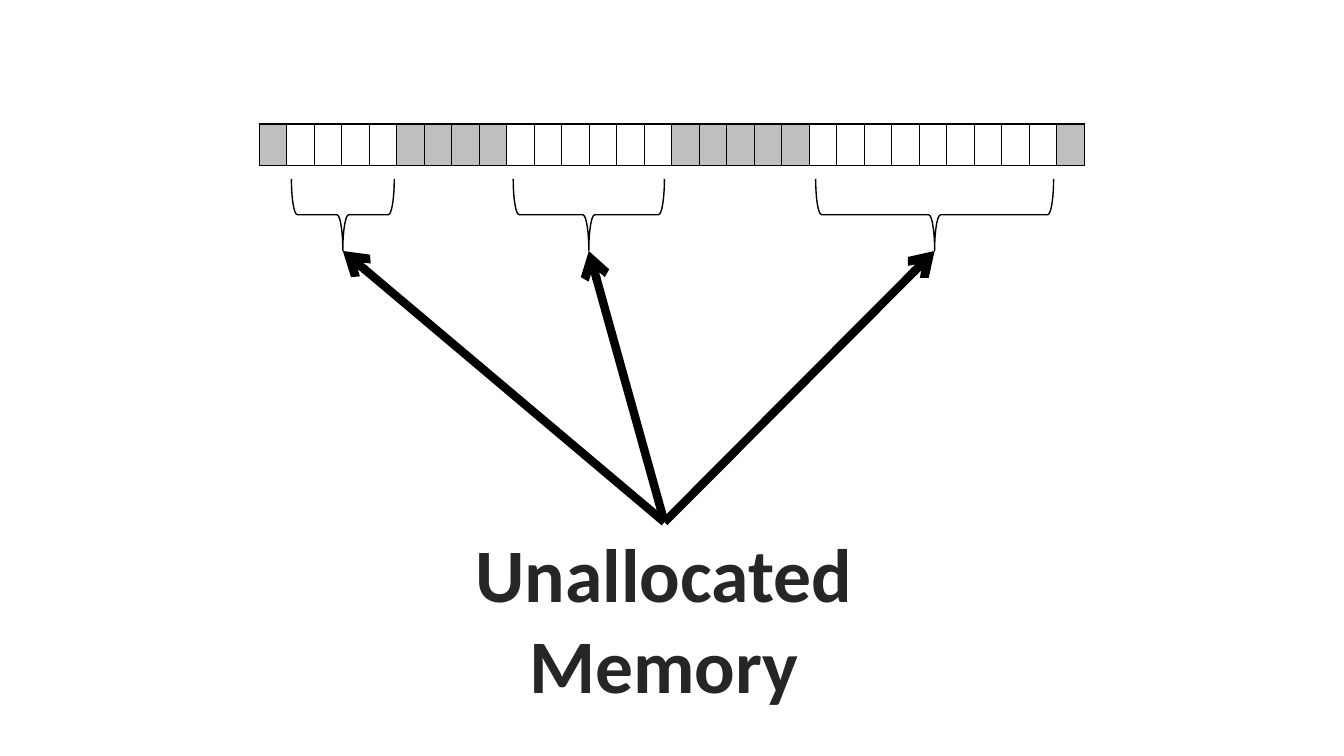
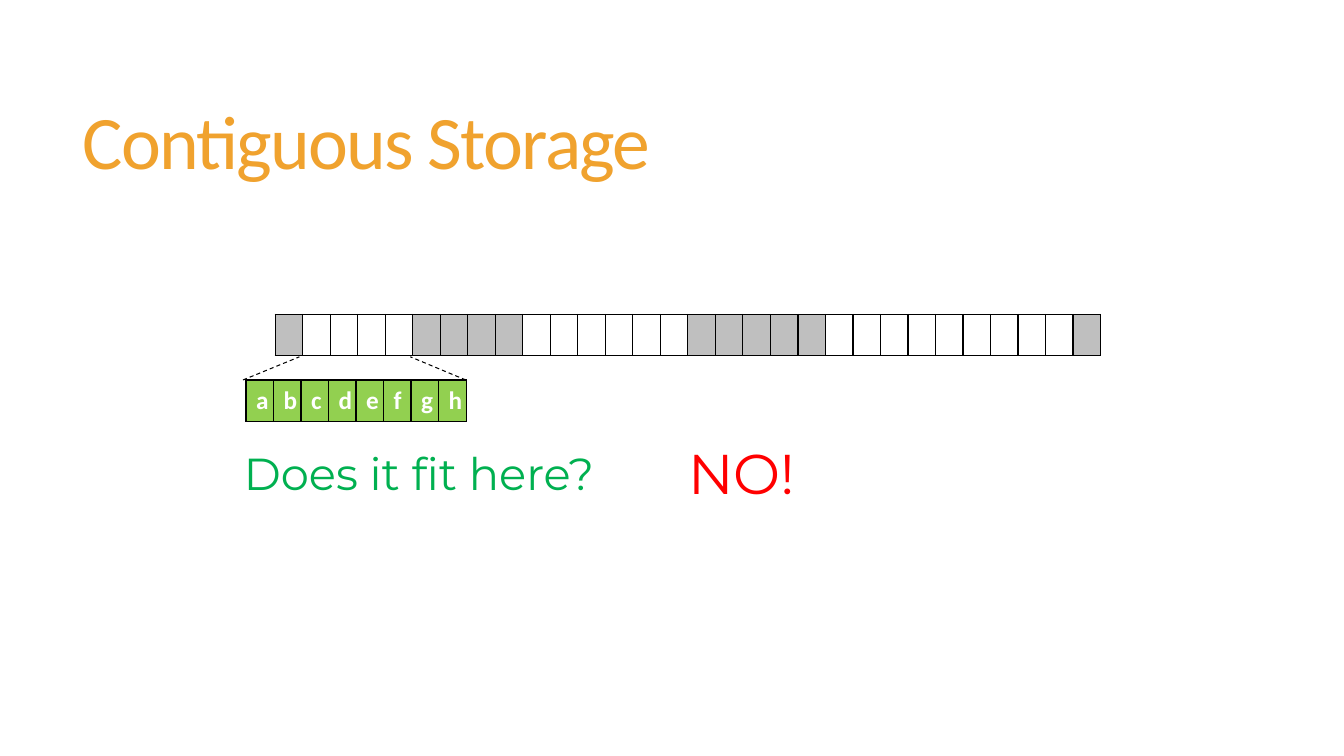
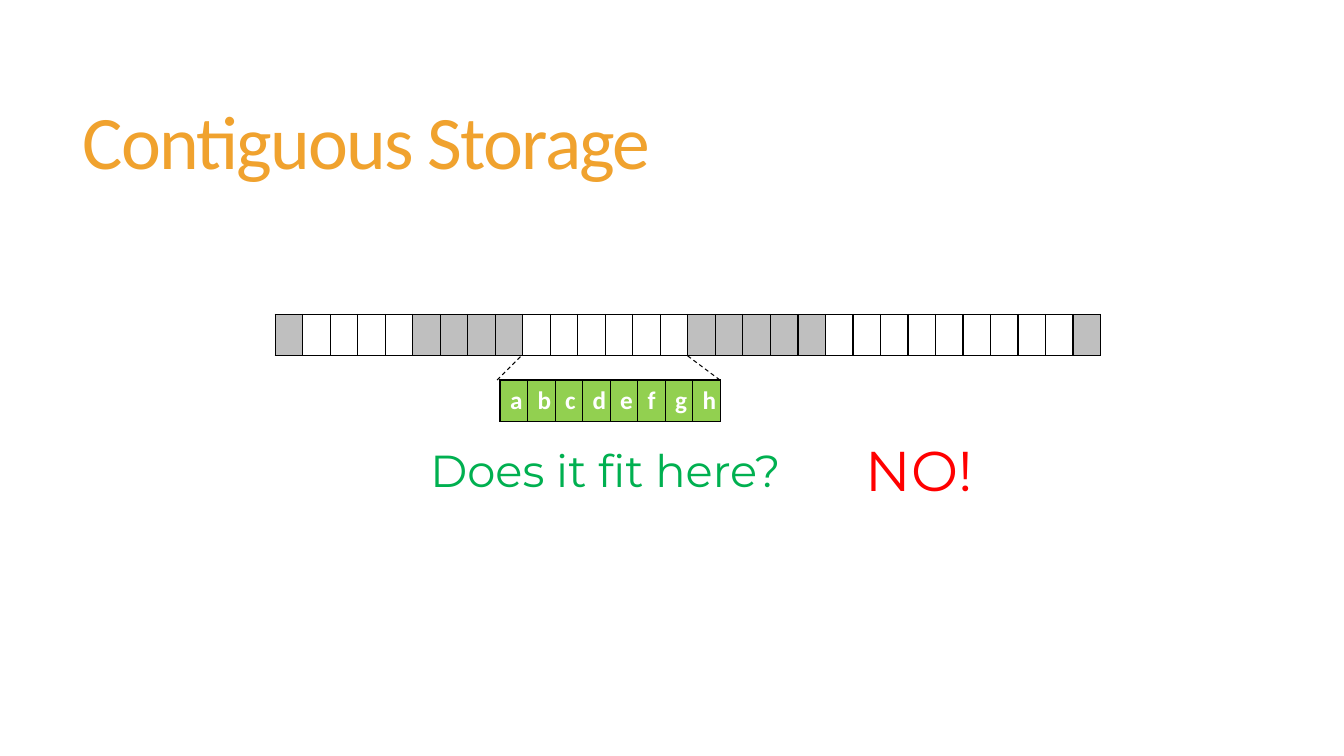
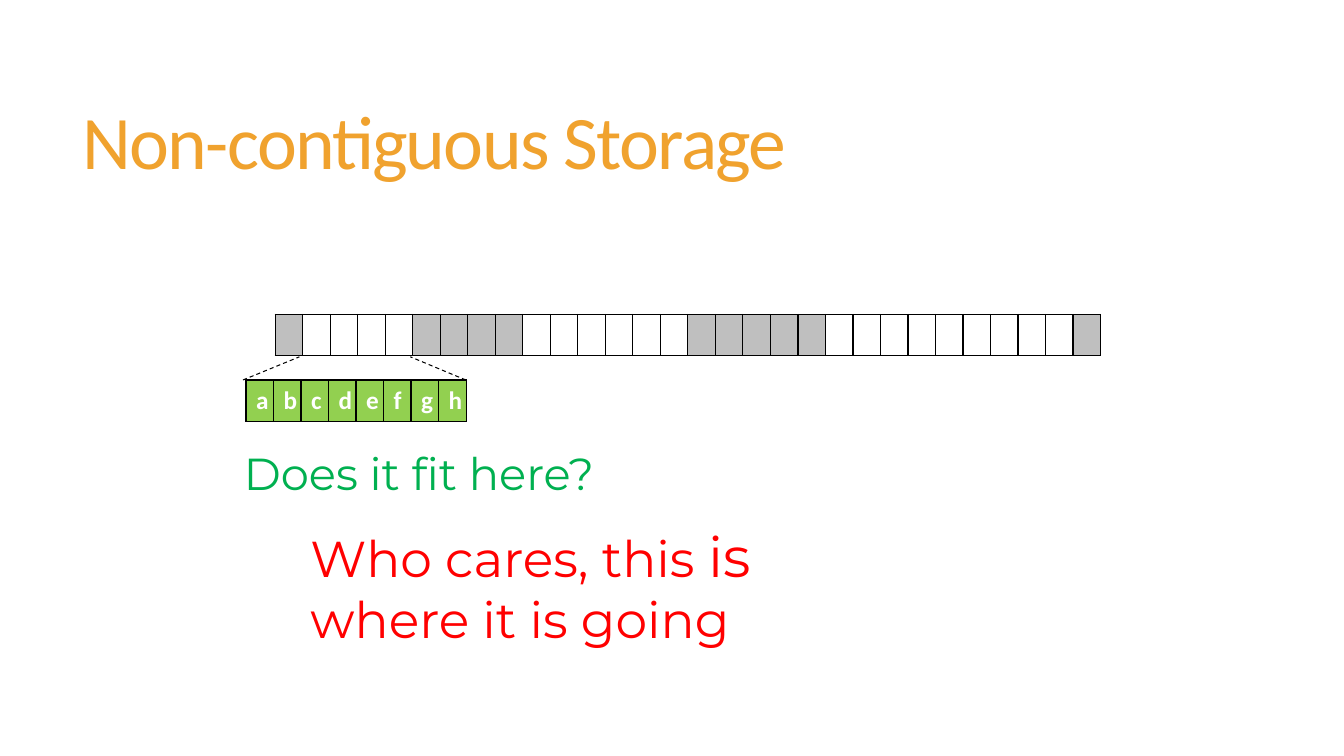
"""Build four slides on contiguous and non-contiguous memory storage."""
import dataclasses
import typing

import lxml.etree
import pptx
import pptx.dml.color
import pptx.enum.dml
import pptx.enum.shapes
import pptx.enum.text
import pptx.oxml.ns
import pptx.shapes.autoshape
import pptx.shapes.connector
import pptx.slide
import pptx.table
import pptx.util

Inches = pptx.util.Inches
Point = tuple[float, float]

BLACK, WHITE, CHARCOAL, ORANGE = "000000", "FFFFFF", "262626", "F0A22E"
USED, DATA, ASKING, ANSWERING = "BFBFBF", "92D050", "00B050", "FF0000"
HEADING_FONT, BODY_FONT = "Calibri", "Montserrat"

MEMORY_MAP = "#....####......#####.........#"
LETTERS = "abcdefgh"
CELL_WIDTH = Inches(8.19) // len(MEMORY_MAP)
CELL_HEIGHT = 0.41
MEMORY_AT = (2.73, 3.12)
DATA_TOP = 3.77
DATA_WIDTH = 2.18
BRACE_DEPTH = 0.71
BRACE_MIDDLE = 2.13
ARROW_TIP = 2.49
ARROW_ORIGIN = (6.59, 5.18)


class Phrase(typing.NamedTuple):
    """A stretch of text in one size."""
    text: str
    size: float


class Gap(typing.NamedTuple):
    """A free stretch of memory, marked with a brace."""
    center: float
    width: float


@dataclasses.dataclass(frozen=True)
class Attempt:
    """One try at placing the data into a gap of the memory."""
    title: str
    data_left: float
    gap_edges: Point
    gap_bottom: float
    question_at: Point
    answer_at: Point
    answer_size: Point
    answer: tuple[Phrase, ...]


GAPS = (Gap(3.4, 1.02), Gap(5.84, 1.5), Gap(9.27, 2.36))
NO = (Phrase("NO!", 40),)
WHO_CARES = (Phrase("Who cares, this ", 36), Phrase("is", 40), Phrase(" where it is going", 36))
ATTEMPTS = (
    Attempt("Contiguous Storage", 2.44, (2.97, 4.07), 3.54,
            (2.32, 4.37), (6.73, 4.3), (1.89, 0.77), NO),
    Attempt("Contiguous Storage", 4.96, (5.17, 6.82), 3.53,
            (4.17, 4.34), (8.49, 4.27), (1.89, 0.77), NO),
    Attempt("Non-contiguous Storage", 2.44, (2.97, 4.07), 3.54,
            (2.32, 4.37), (2.98, 5.12), (5.89, 1.38), WHO_CARES),
)


def rgb(color: str) -> pptx.dml.color.RGBColor:
    """Turn a hex string into a colour."""
    return pptx.dml.color.RGBColor.from_string(color)


def write(paragraph: typing.Any, text: str, *, size: float, color: str,
          font: str = BODY_FONT, bold: bool = False, tracking: float = 0) -> None:
    """Append formatted text to a paragraph."""
    run = paragraph.add_run()
    run.text = text
    run.font.size = pptx.util.Pt(size)
    run.font.name = font
    run.font.bold = bold
    run.font.color.rgb = rgb(color)
    if tracking:
        run.font._element.set("spc", str(round(tracking * 100)))


def add_text_area(slide: pptx.slide.Slide, at: Point, size: Point, grow: bool = True) -> typing.Any:
    """Add a wrapping text box and return its text frame."""
    frame = slide.shapes.add_textbox(*map(Inches, at + size)).text_frame
    frame.word_wrap = True
    if grow:
        frame.auto_size = pptx.enum.text.MSO_AUTO_SIZE.SHAPE_TO_FIT_TEXT
    return frame


def add_title(slide: pptx.slide.Slide, title: str) -> None:
    """Add the title shared by the storage slides."""
    frame = add_text_area(slide, (0.72, 0.55), (11.78, 1.81), grow=False)
    frame.vertical_anchor = pptx.enum.text.MSO_ANCHOR.MIDDLE
    frame.paragraphs[0].line_spacing = 0.85
    write(frame.paragraphs[0], title, size=54, color=ORANGE, font=HEADING_FONT, tracking=-1.2)


def add_borders(cell: typing.Any) -> None:
    """Draw a thin black line on each side of a cell."""
    qn = pptx.oxml.ns.qn
    properties = cell._tc.get_or_add_tcPr()
    for side in ("a:lnL", "a:lnR", "a:lnT", "a:lnB"):
        border = lxml.etree.SubElement(properties, qn(side), w=str(pptx.util.Pt(1)))
        paint = lxml.etree.SubElement(border, qn("a:solidFill"))
        lxml.etree.SubElement(paint, qn("a:srgbClr"), val=BLACK)


def add_cells(slide: pptx.slide.Slide, at: Point, fills: typing.Sequence[str | None]) -> pptx.table.Table:
    """Add a row of equal bordered cells, one for each fill."""
    width = CELL_WIDTH * len(fills)
    table = slide.shapes.add_table(
        1, len(fills), *map(Inches, at), width, Inches(CELL_HEIGHT)).table
    table.first_row = table.horz_banding = False
    for index, fill in enumerate(fills):
        table.columns[index].width = CELL_WIDTH
        cell = table.cell(0, index)
        add_borders(cell)
        if fill:
            cell.fill.solid()
            cell.fill.fore_color.rgb = rgb(fill)
        else:
            cell.fill.background()
    return table


def add_memory(slide: pptx.slide.Slide, at: Point) -> None:
    """Add the memory with its used and free cells."""
    add_cells(slide, at, [USED if mark == "#" else None for mark in MEMORY_MAP])


def add_data(slide: pptx.slide.Slide, left: float) -> None:
    """Add the lettered data to be stored."""
    table = add_cells(slide, (left, DATA_TOP), [DATA] * len(LETTERS))
    for index, letter in enumerate(LETTERS):
        paragraph = table.cell(0, index).text_frame.paragraphs[0]
        paragraph.alignment = pptx.enum.text.PP_ALIGN.CENTER
        write(paragraph, letter, size=18, color=WHITE, font=HEADING_FONT, bold=True)


def add_line(slide: pptx.slide.Slide, start: Point, end: Point, *, width: float,
             dashed: bool = False, arrow: bool = False) -> None:
    """Add a straight black line, dashed or with an arrowhead at its end."""
    connector = slide.shapes.add_connector(
        pptx.enum.shapes.MSO_CONNECTOR.STRAIGHT, *map(Inches, start + end))
    connector.line.width = pptx.util.Pt(width)
    connector.line.color.rgb = rgb(BLACK)
    if dashed:
        connector.line.dash_style = pptx.enum.dml.MSO_LINE.DASH
    qn = pptx.oxml.ns.qn
    if arrow:
        lxml.etree.SubElement(connector.line._get_or_add_ln(), qn("a:tailEnd"), type="arrow")
    lxml.etree.SubElement(connector._element.spPr, qn("a:effectLst"))


def add_brace(slide: pptx.slide.Slide, gap: Gap) -> None:
    """Add a brace below a gap, its tip pointing down."""
    brace = slide.shapes.add_shape(
        pptx.enum.shapes.MSO_SHAPE.LEFT_BRACE,
        Inches(gap.center - BRACE_DEPTH / 2), Inches(BRACE_MIDDLE - gap.width / 2),
        Inches(BRACE_DEPTH), Inches(gap.width))
    brace.rotation = 270
    brace.shadow.inherit = False
    brace.fill.background()
    brace.line.color.rgb = rgb(BLACK)
    brace.line.width = pptx.util.Pt(1)


def draw_unallocated(slide: pptx.slide.Slide) -> None:
    """Draw the memory with arrows to its free gaps."""
    add_memory(slide, (2.57, 1.23))
    for gap in GAPS:
        add_brace(slide, gap)
    caption = add_text_area(slide, (3.34, 5.18), (6.49, 1.01)).paragraphs[0]
    caption.alignment = pptx.enum.text.PP_ALIGN.CENTER
    write(caption, "Unallocated Memory", size=54, color=CHARCOAL, font=HEADING_FONT, bold=True)
    for gap in GAPS:
        add_line(slide, ARROW_ORIGIN, (gap.center, ARROW_TIP), width=6, arrow=True)


def draw_attempt(slide: pptx.slide.Slide, attempt: Attempt) -> None:
    """Draw one try at storing the data, with question and answer."""
    add_title(slide, attempt.title)
    add_memory(slide, MEMORY_AT)
    add_data(slide, attempt.data_left)
    data_edges = (attempt.data_left - 0.03, attempt.data_left + DATA_WIDTH)
    for data_edge, gap_edge in zip(data_edges, attempt.gap_edges):
        add_line(slide, (data_edge, DATA_TOP), (gap_edge, attempt.gap_bottom),
                 width=0.75, dashed=True)
    question = add_text_area(slide, attempt.question_at, (4.49, 0.64)).paragraphs[0]
    write(question, "Does it fit here?", size=32, color=ASKING)
    answer = add_text_area(slide, attempt.answer_at, attempt.answer_size).paragraphs[0]
    for phrase in attempt.answer:
        write(answer, phrase.text, size=phrase.size, color=ANSWERING)


def main() -> None:
    """Build and save the presentation."""
    deck = pptx.Presentation()
    deck.slide_width, deck.slide_height = Inches(13.33), Inches(7.5)
    blank = deck.slide_layouts[6]
    draw_unallocated(deck.slides.add_slide(blank))
    for attempt in ATTEMPTS:
        draw_attempt(deck.slides.add_slide(blank), attempt)
    deck.save("out.pptx")


if __name__ == "__main__":
    main()
